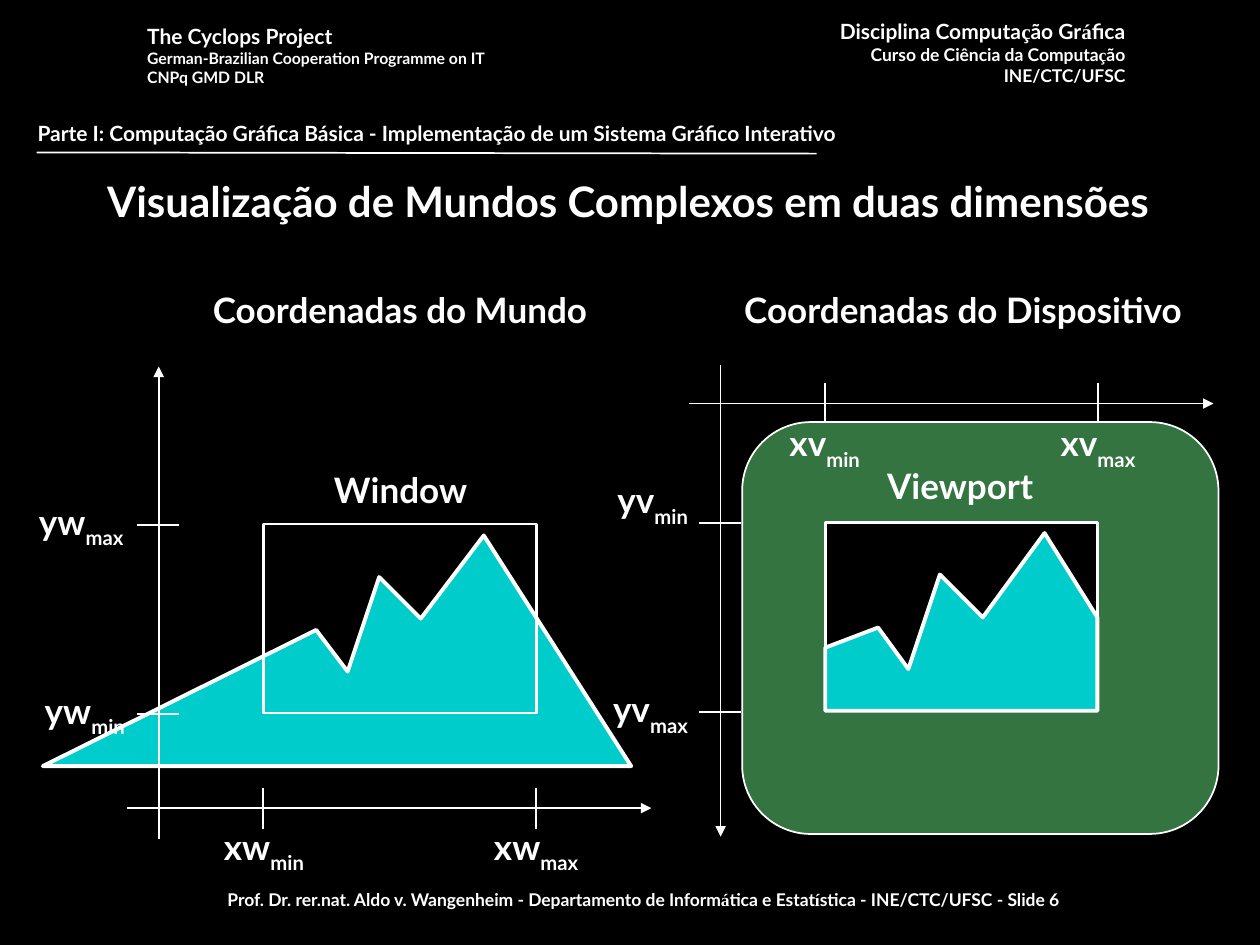
from lxml import etree
from pptx import Presentation
from pptx.dml.color import RGBColor
from pptx.enum.shapes import MSO_CONNECTOR, MSO_SHAPE
from pptx.enum.text import MSO_ANCHOR, MSO_AUTO_SIZE, PP_ALIGN
from pptx.oxml.ns import qn
from pptx.util import Pt

LEFT, CENTER, RIGHT = PP_ALIGN.LEFT, PP_ALIGN.CENTER, PP_ALIGN.RIGHT
MIDDLE, NO_FIT = MSO_ANCHOR.MIDDLE, MSO_AUTO_SIZE.NONE
STRAIGHT = MSO_CONNECTOR.STRAIGHT
RECTANGLE, ROUNDED = MSO_SHAPE.RECTANGLE, MSO_SHAPE.ROUNDED_RECTANGLE

COLORS = {"black": "000000", "white": "FFFFFF", "cyan": "00CCCC", "green": "66E882"}
FONT, ACCENT_FONT = "Lato", "Times New Roman"
TITLE_ONLY = 5

WORLD_MOUNTAIN = [(360.7, 437.8), (24.5, 437.8), (180.7, 360), (198.7, 383.8),
                  (216.7, 329.8), (240.5, 353.5), (276.5, 306)]
CLIPPED_MOUNTAIN = [(627.1, 406.1), (471.6, 406.1), (471.6, 370.1), (501.8, 358.6),
                    (519.1, 382.3), (537.1, 328.3), (561.6, 352.8), (596.9, 304.6),
                    (627.1, 352.8)]


def color(name):
    """Return the named colour."""
    return RGBColor.from_string(COLORS[name])


def style_font(font, size):
    """Apply the bold white face that all text shares."""
    font.name, font.size, font.bold = FONT, Pt(size), True
    font.color.rgb = color("white")


def add_text(page, frame, lines, align=CENTER, wrap=False):
    """Add (text, size) lines; bars in a text enclose letters in the accent font."""
    box = page.shapes.add_textbox(*map(Pt, frame))
    box.text_frame.word_wrap = wrap
    for index, (text, size) in enumerate(lines):
        frame_paras = box.text_frame
        para = frame_paras.add_paragraph() if index else frame_paras.paragraphs[0]
        para.alignment = align
        style_font(para.font, size)
        for position, part in enumerate(text.split("|")):
            span = para.add_run()
            span.text = part
            if position % 2:
                span.font.name = ACCENT_FONT
    return box


def add_label(page, frame, name, subscript, align=CENTER):
    """Add a coordinate name followed by its subscript."""
    box = add_text(page, frame, [(name, 20)], align)
    span = box.text_frame.paragraphs[0].add_run()
    span.text = subscript
    span._r.get_or_add_rPr().set("baseline", "-30000")


def add_line(page, start, end, arrow=False):
    """Add a thin white line, with an arrowhead at its end if wanted."""
    line = page.shapes.add_connector(STRAIGHT, *map(Pt, start + end))
    line.line.color.rgb = color("white")
    line.line.width = Pt(1)
    if arrow:
        etree.SubElement(line.line._get_or_add_ln(), qn("a:tailEnd"), type="triangle")
    etree.SubElement(line._element.spPr, qn("a:effectLst"))


def style_shape(shape, fill, width):
    """Give a shape its fill and white outline."""
    shape.shadow.inherit = False
    if fill:
        shape.fill.solid()
        shape.fill.fore_color.rgb = color(fill)
    else:
        shape.fill.background()
    shape.line.color.rgb = color("white")
    shape.line.width = Pt(width)


def add_box(page, kind, frame, fill, width):
    """Add a preset shape."""
    shape = page.shapes.add_shape(kind, *map(Pt, frame))
    style_shape(shape, fill, width)
    return shape


def add_mountain(page, points):
    """Add a closed mountain outline."""
    first, *rest = [(Pt(x), Pt(y)) for x, y in points]
    builder = page.shapes.build_freeform(*first)
    builder.add_line_segments(rest, close=True)
    style_shape(builder.convert_to_shape(), "cyan", 2.25)


def add_ticks(page, columns, rows, column_span, row_span):
    """Mark the limits on the horizontal and the vertical axis."""
    for x in columns:
        add_line(page, (x, column_span[0]), (x, column_span[1]))
    for y in rows:
        add_line(page, (row_span[0], y), (row_span[1], y))


def add_heading(page):
    """Add the header, the footer and the title."""
    add_text(page, (454.3, 7.2, 195.8, 46),
             [("Disciplina Computa|ç|ão Gr|á|fica", 12),
              ("Curso de Ciência da Computa|ç|ão", 10), ("INE/CTC/UFSC", 10)], RIGHT)
    add_text(page, (77, 10.1, 231, 43),
             [("The Cyclops Project", 12),
              ("German-Brazilian Cooperation Programme on IT", 9),
              ("CNPq GMD DLR", 9)], LEFT)
    add_text(page, (49.7, 504.7, 635.8, 21),
             [("Prof. Dr. rer.nat. Aldo v. Wangenheim - Departamento de Inform|á|tica e "
               "Estat|í|stica - INE/CTC/UFSC - Slide 6", 10)], CENTER, True)
    add_line(page, (20.9, 87.1), (466.6, 87.8))
    add_text(page, (14.4, 65.5, 684, 22),
             [("Parte I: Computação Gráfica Básica - Implementação de um Sistema "
               "Gráfico Interativo", 12)], LEFT, True)
    title = page.shapes.title
    title.left, title.top, title.width, title.height = map(Pt, (54, 82.1, 648.7, 64.8))
    title.text_frame.text = "Visualização de Mundos Complexos em duas dimensões"
    title.text_frame.auto_size = NO_FIT
    title.text_frame.vertical_anchor = MIDDLE
    para = title.text_frame.paragraphs[0]
    para.alignment = LEFT
    style_font(para.font, 24)


def add_device(page):
    """Add the device coordinates with the viewport."""
    screen = add_box(page, ROUNDED, (424.1, 241.2, 272.2, 235.4), "green", 1)
    fill_color = screen._element.spPr.find(qn("a:solidFill"))[0]
    etree.SubElement(fill_color, qn("a:alpha"), val="50000")
    add_label(page, (338.4, 270, 61.9, 36), "yv", "min", RIGHT)
    add_label(page, (335.5, 389.5, 64.8, 36), "yv", "max", RIGHT)
    add_line(page, (411.8, 208.8), (411.8, 478.1), True)
    add_line(page, (393.8, 230.6), (693.4, 230.6), True)
    add_ticks(page, (471.6, 627.6), (298.8, 406.8), (218.9, 241.9), (399.6, 423.4))
    add_box(page, RECTANGLE, (471.6, 298.6, 155.5, 107.5), "black", 1.5)
    add_mountain(page, CLIPPED_MOUNTAIN)
    add_label(page, (441.4, 237.6, 59.8, 36), "xv", "min")
    add_label(page, (596.2, 237.6, 62.6, 36), "xv", "max")
    add_text(page, (496.1, 262.1, 105.1, 31.7), [("Viewport", 20)])
    add_text(page, (404.6, 161.3, 291.6, 31.7), [("Coordenadas do Dispositivo", 20)])


def add_world(page):
    """Add the world coordinates with the window."""
    add_mountain(page, WORLD_MOUNTAIN)
    add_box(page, RECTANGLE, (150.5, 299.5, 156, 108), None, 1.5)
    add_line(page, (90.7, 479.5), (90.7, 209.5), True)
    add_line(page, (72.7, 461.8), (372.2, 461.8), True)
    add_ticks(page, (150.5, 306.5), (299.8, 407.8), (450, 473.8), (78.5, 102.2))
    add_text(page, (181.4, 264.2, 95, 31.7), [("Window", 20)])
    add_label(page, (118.1, 468, 65.5, 36), "xw", "min")
    add_label(page, (272.2, 468, 68.4, 36), "xw", "max")
    add_label(page, (10.1, 282.2, 67.7, 36), "yw", "max", RIGHT)
    add_label(page, (13, 390.2, 65.5, 36), "yw", "min", RIGHT)
    add_text(page, (103, 161.3, 251.3, 31.7), [("Coordenadas do Mundo", 20)])


def main():
    """Build and save the slide."""
    deck = Presentation()
    deck.slide_width, deck.slide_height = Pt(720), Pt(540)
    page = deck.slides.add_slide(deck.slide_layouts[TITLE_ONLY])
    page.background.fill.solid()
    page.background.fill.fore_color.rgb = color("black")
    add_heading(page)
    add_device(page)
    add_world(page)
    deck.save("out.pptx")


if __name__ == "__main__":
    main()
